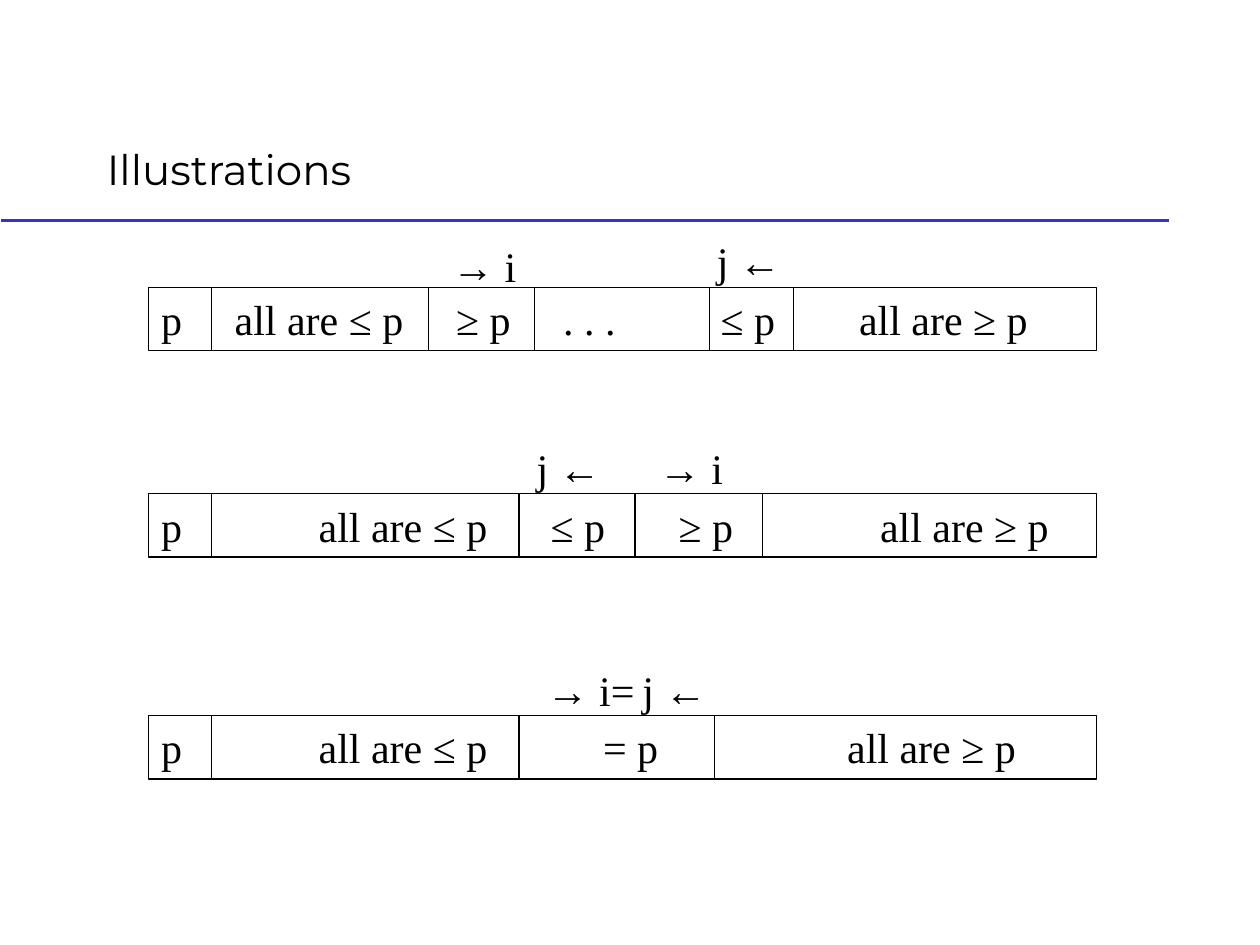
from pptx import Presentation
from pptx.dml.color import RGBColor
from pptx.enum.shapes import MSO_CONNECTOR, MSO_SHAPE
from pptx.enum.text import MSO_ANCHOR, PP_ALIGN
from pptx.oxml.ns import qn
from pptx.util import Pt
from lxml import etree

STRAIGHT = MSO_CONNECTOR.STRAIGHT
RECTANGLE = MSO_SHAPE.RECTANGLE
TOP, BOTTOM = MSO_ANCHOR.TOP, MSO_ANCHOR.BOTTOM
LEFT = PP_ALIGN.LEFT

BLACK, BLUE = "000000", "3333CC"
ROW_LEFT, ROW_WIDTH, ROW_HEIGHT = 85, 541.4, 36.2
LABEL_RISE = 33.1

ROWS = [
    {
        "top": 164.2,
        "cells": ["p", "all are ≤ p", "≥ p", ". . .", "≤ p", "all are ≥ p"],
        "tabs": [42, 168.5, 229.7, 319.7, 398.8],
        "dividers": [121, 244.8, 305.3, 405.4, 453.6],
        "labels": [("→ i", 251.3, 70, 30.3), ("j ←", 402.5, 70, LABEL_RISE)],
    },
    {
        "top": 282.2,
        "cells": ["p", "all are ≤ p", "≤ p", "≥ p", "all are ≥ p"],
        "tabs": [90, 222.5, 295.7, 410.8],
        "dividers": [121, 296.6, 362.9, 435.6],
        "labels": [("→ i", 369.4, 70, LABEL_RISE), ("j ←", 299.5, 70, LABEL_RISE)],
    },
    {
        "top": 409,
        "cells": ["p", "all are ≤ p", "= p", "all are ≥ p"],
        "tabs": [90, 252.5, 392],
        "dividers": [121, 296.6, 408.2],
        "labels": [("→ i=", 305.3, 111.6, LABEL_RISE), ("j ←", 360, 70, LABEL_RISE)],
    },
]


def color(value):
    return RGBColor.from_string(value)


def apply(target, values):
    for name, value in values.items():
        setattr(target, name, value)


class SlidePainter:
    frame_format = {
        "margin_left": Pt(7.2), "margin_right": Pt(7.2),
        "margin_top": Pt(3.6), "margin_bottom": Pt(3.6), "word_wrap": True,
    }

    def __init__(self, slide):
        self.slide = slide

    def fill_text(self, shape, text, font="Times New Roman", anchor=TOP, tabs=()):
        frame = shape.text_frame
        apply(frame, {**self.frame_format, "vertical_anchor": anchor})
        paragraph = frame.paragraphs[0]
        paragraph.alignment = LEFT
        if tabs:
            properties = paragraph._p.get_or_add_pPr()
            tab_list = etree.SubElement(properties, qn("a:tabLst"))
            for position in tabs:
                etree.SubElement(tab_list, qn("a:tab"), pos=str(Pt(position)), algn="l")
        run = paragraph.add_run()
        run.text = text
        apply(run.font, {"name": font, "size": Pt(24)})
        run.font.color.rgb = color(BLACK)

    def text(self, text, left, top, width, height, **style):
        shape = self.slide.shapes.add_textbox(Pt(left), Pt(top), Pt(width), Pt(height))
        self.fill_text(shape, text, **style)

    def box(self, text, left, top, width, height, **style):
        shape = self.slide.shapes.add_shape(
            RECTANGLE, Pt(left), Pt(top), Pt(width), Pt(height))
        shape.shadow.inherit = False
        shape.fill.background()
        shape.line.color.rgb = color(BLACK)
        shape.line.width = Pt(0.75)
        self.fill_text(shape, text, **style)

    def line(self, x1, y1, x2, y2, stroke=BLACK, weight=0.75):
        connector = self.slide.shapes.add_connector(
            STRAIGHT, Pt(x1), Pt(y1), Pt(x2), Pt(y2))
        connector.line.color.rgb = color(stroke)
        connector.line.width = Pt(weight)
        etree.SubElement(connector._element.spPr, qn("a:effectLst"))

    def partition_row(self, top, cells, tabs, dividers, labels):
        self.box("\t".join(cells), ROW_LEFT, top, ROW_WIDTH, ROW_HEIGHT, tabs=tabs)
        for x in dividers:
            self.line(x, top, x, top + ROW_HEIGHT)
        for text, left, width, rise in labels:
            self.text(text, left, top - rise, width, ROW_HEIGHT)


def main():
    presentation = Presentation()
    apply(presentation, {"slide_width": Pt(720), "slide_height": Pt(540)})
    slide = presentation.slides.add_slide(presentation.slide_layouts[6])
    painter = SlidePainter(slide)
    painter.line(0.7, 126, 668.2, 126, BLUE, 1.5)
    painter.text("Illustrations", 54, 48.2, 612, 66.2, font="Montserrat", anchor=BOTTOM)
    for row in ROWS:
        painter.partition_row(**row)
    presentation.save("out.pptx")


if __name__ == "__main__":
    main()
